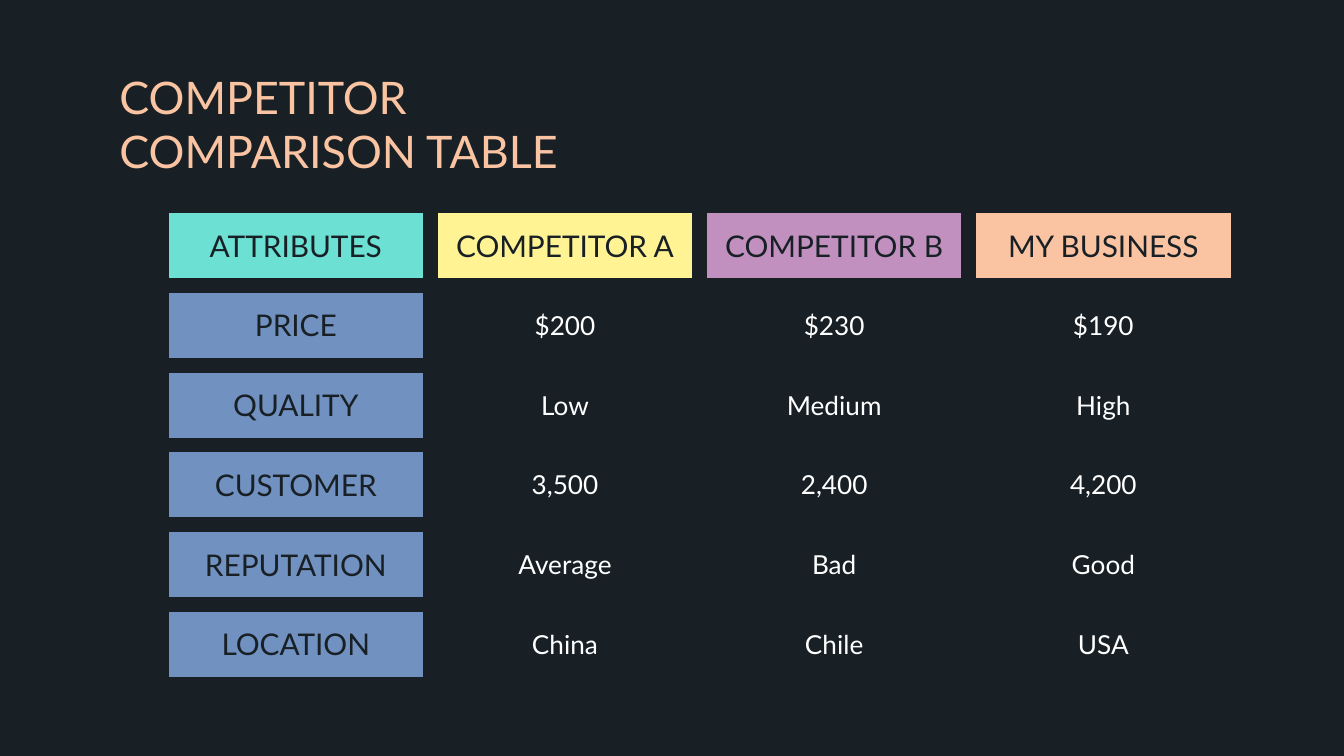
from dataclasses import dataclass

from lxml.etree import SubElement
from pptx import Presentation
from pptx.dml.color import RGBColor
from pptx.enum.text import MSO_ANCHOR, PP_ALIGN
from pptx.oxml.ns import qn
from pptx.util import Inches, Pt


@dataclass(frozen=True)
class Theme:
    font: str = "Lato"
    background: str = "182026"
    accent: str = "FAC4A2"
    value: str = "FFFFFF"
    attribute: str = "7191C0"
    headers: tuple = ("6CE0D3", "FFF393", "C190BF", "FAC4A2")
    title_size: int = 24
    label_size: int = 16
    value_size: int = 14
    border_width: int = 9


THEME = Theme()
SLIDE_WIDTH = Inches(10)
SLIDE_HEIGHT = SLIDE_WIDTH * 9 // 16
COLUMN_WIDTH = Pt(144.2)
ROW_HEIGHT = Pt(42.75)
PADDING = Inches(0.1)

COMPARISON = (
    ("ATTRIBUTES", "COMPETITOR A", "COMPETITOR B", "MY BUSINESS"),
    ("PRICE", "$200", "$230", "$190"),
    ("QUALITY", "Low", "Medium", "High"),
    ("CUSTOMER", "3,500", "2,400", "4,200"),
    ("REPUTATION", "Average", "Bad", "Good"),
    ("LOCATION", "China", "Chile", "USA"),
)


def set_fill(fill, color):
    fill.solid()
    fill.fore_color.rgb = RGBColor.from_string(color)


def set_margins(holder):
    holder.margin_left = holder.margin_right = PADDING
    holder.margin_top = holder.margin_bottom = PADDING


def write_text(text_frame, text, size, color, alignment):
    text_frame.text = text
    paragraph = text_frame.paragraphs[0]
    paragraph.alignment = alignment
    font = paragraph.runs[0].font
    font.name = THEME.font
    font.size = Pt(size)
    font.color.rgb = RGBColor.from_string(color)


def add_title(slide, text):
    title = slide.shapes.add_textbox(
        Inches(0.79), Inches(0.42), Inches(4.21), Inches(0.93)
    )
    text_frame = title.text_frame
    text_frame.word_wrap = True
    set_margins(text_frame)
    write_text(text_frame, text, THEME.title_size, THEME.accent, PP_ALIGN.LEFT)


def add_borders(cell):
    properties = cell._tc.get_or_add_tcPr()
    for position, side in enumerate(("lnL", "lnR", "lnT", "lnB")):
        line = SubElement(properties, qn(f"a:{side}"), w=str(Pt(THEME.border_width)))
        fill = SubElement(line, qn("a:solidFill"))
        SubElement(fill, qn("a:srgbClr"), val=THEME.background)
        properties.insert(position, line)


def format_cell(cell, text, row, column):
    is_label = row == 0 or column == 0
    size = THEME.label_size if is_label else THEME.value_size
    color = THEME.background if is_label else THEME.value
    write_text(cell.text_frame, text, size, color, PP_ALIGN.CENTER)
    cell.vertical_anchor = MSO_ANCHOR.MIDDLE
    set_margins(cell)
    if is_label:
        set_fill(cell.fill, THEME.attribute if row else THEME.headers[column])
    else:
        cell.fill.background()
    add_borders(cell)


def add_comparison_table(slide, records):
    row_count, column_count = len(records), len(records[0])
    table = slide.shapes.add_table(
        row_count, column_count, Inches(1.2), Inches(1.53),
        COLUMN_WIDTH * column_count, ROW_HEIGHT * row_count,
    ).table
    table.first_row = table.horz_banding = False
    for row, record in enumerate(records):
        for column, text in enumerate(record):
            format_cell(table.cell(row, column), text, row, column)


def main():
    presentation = Presentation()
    presentation.slide_width = SLIDE_WIDTH
    presentation.slide_height = SLIDE_HEIGHT
    slide = presentation.slides.add_slide(presentation.slide_layouts[6])
    set_fill(slide.background.fill, THEME.background)
    add_title(slide, "COMPETITOR COMPARISON TABLE")
    add_comparison_table(slide, COMPARISON)
    presentation.save("out.pptx")


if __name__ == "__main__":
    main()
